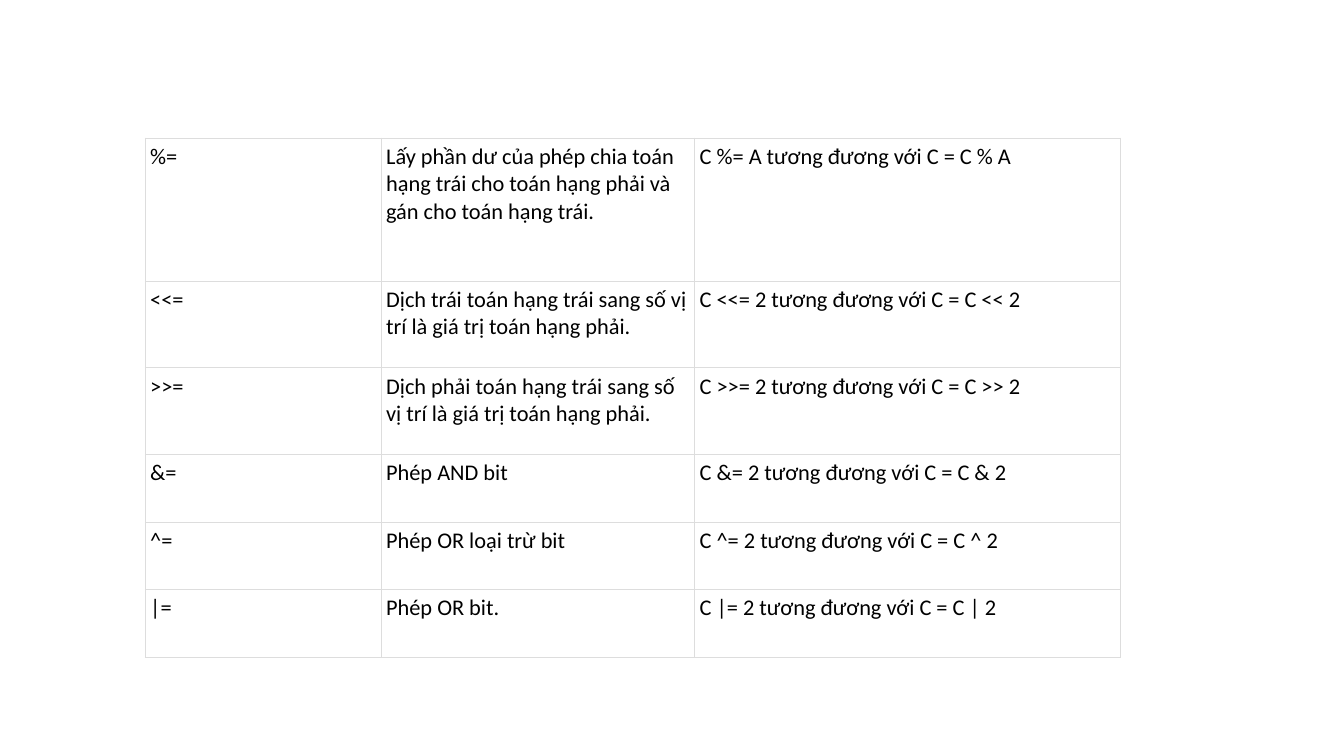
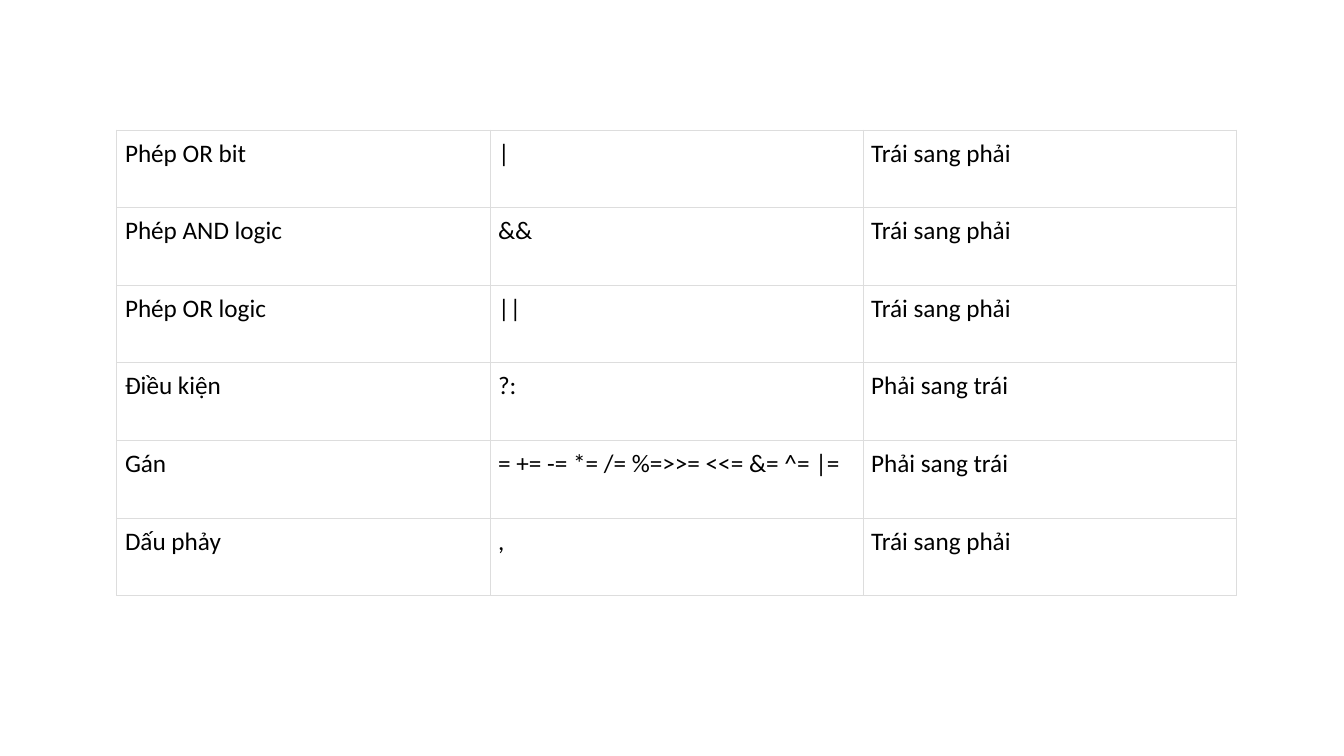
from dataclasses import dataclass

from lxml import etree
from pptx import Presentation
from pptx.dml.color import RGBColor
from pptx.enum.text import MSO_ANCHOR
from pptx.oxml.ns import qn
from pptx.util import Inches, Pt

TOP = MSO_ANCHOR.TOP


@dataclass(frozen=True)
class Theme:
    font: str = "Calibri"
    text: str = "000000"
    border: str = "DDDDDD"
    border_width: float = 0.75
    assignment_size: int = 16
    precedence_size: int = 18


THEME = Theme()


def add_borders(cell):
    tcPr = cell._tc.get_or_add_tcPr()
    for side in ("lnL", "lnR", "lnT", "lnB"):
        ln = etree.SubElement(tcPr, qn(f"a:{side}"), w=str(Pt(THEME.border_width)))
        fill = etree.SubElement(ln, qn("a:solidFill"))
        etree.SubElement(fill, qn("a:srgbClr"), val=THEME.border)


def add_grid(s, left, top, widths, heights, rows, size, margin):
    frame = s.shapes.add_table(
        len(rows), len(widths), Inches(left), Inches(top),
        Inches(sum(widths)), Inches(sum(heights)))
    table = frame.table
    table.first_row = False
    table.horz_banding = False
    for column, width in zip(table.columns, widths):
        column.width = Inches(width)
    for row, height, texts in zip(table.rows, heights, rows):
        row.height = Inches(height)
        for cell, text in zip(row.cells, texts):
            cell.margin_left = cell.margin_right = Inches(margin)
            cell.margin_top = cell.margin_bottom = Inches(margin)
            cell.vertical_anchor = TOP
            add_borders(cell)
            cell.fill.background()
            r = cell.text_frame.paragraphs[0].add_run()
            r.text = text
            r.font.name = THEME.font
            r.font.size = Pt(size)
            r.font.color.rgb = RGBColor.from_string(THEME.text)


prs = Presentation()
prs.slide_width = Inches(13.33)
prs.slide_height = Inches(7.5)
blank = prs.slide_layouts[6]

# Slide 1: compound assignment operators
assignments = [
    ("%=", "Lấy phần dư của phép chia toán hạng trái cho toán hạng phải "
           "và gán cho toán hạng trái.", "C %= A tương đương với C = C % A"),
    ("<<=", "Dịch trái toán hạng trái sang số vị trí là giá trị toán hạng phải.",
     "C <<= 2 tương đương với C = C << 2"),
    (">>=", "Dịch phải toán hạng trái sang số vị trí là giá trị toán hạng phải.",
     "C >>= 2 tương đương với C = C >> 2"),
    ("&=", "Phép AND bit", "C &= 2 tương đương với C = C & 2"),
    ("^=", "Phép OR loại trừ bit", "C ^= 2 tương đương với C = C ^ 2"),
    ("|=", "Phép OR bit.", "C |= 2 tương đương với C = C | 2"),
]
s = prs.slides.add_slide(blank)
add_grid(s, 1.44, 1.37, [2.34, 3.11, 4.22], [1.42] + [0.86] * 2 + [0.67] * 3,
         assignments, THEME.assignment_size, 0.05)

# Slide 2: operator precedence and associativity
left_to_right = "Trái sang phải"
right_to_left = "Phải sang trái"
precedence = [
    ("Phép OR bit", "|", left_to_right),
    ("Phép AND logic", "&&", left_to_right),
    ("Phép OR logic", "||", left_to_right),
    ("Điều kiện", "?:", right_to_left),
    ("Gán", "= += -= *= /= %=>>= <<= &= ^= |=", right_to_left),
    ("Dấu phảy", ",", left_to_right),
]
s = prs.slides.add_slide(blank)
add_grid(s, 1.16, 1.29, [3.7] * 3, [0.77] * len(precedence),
         precedence, THEME.precedence_size, 0.08)

prs.save("out.pptx")
